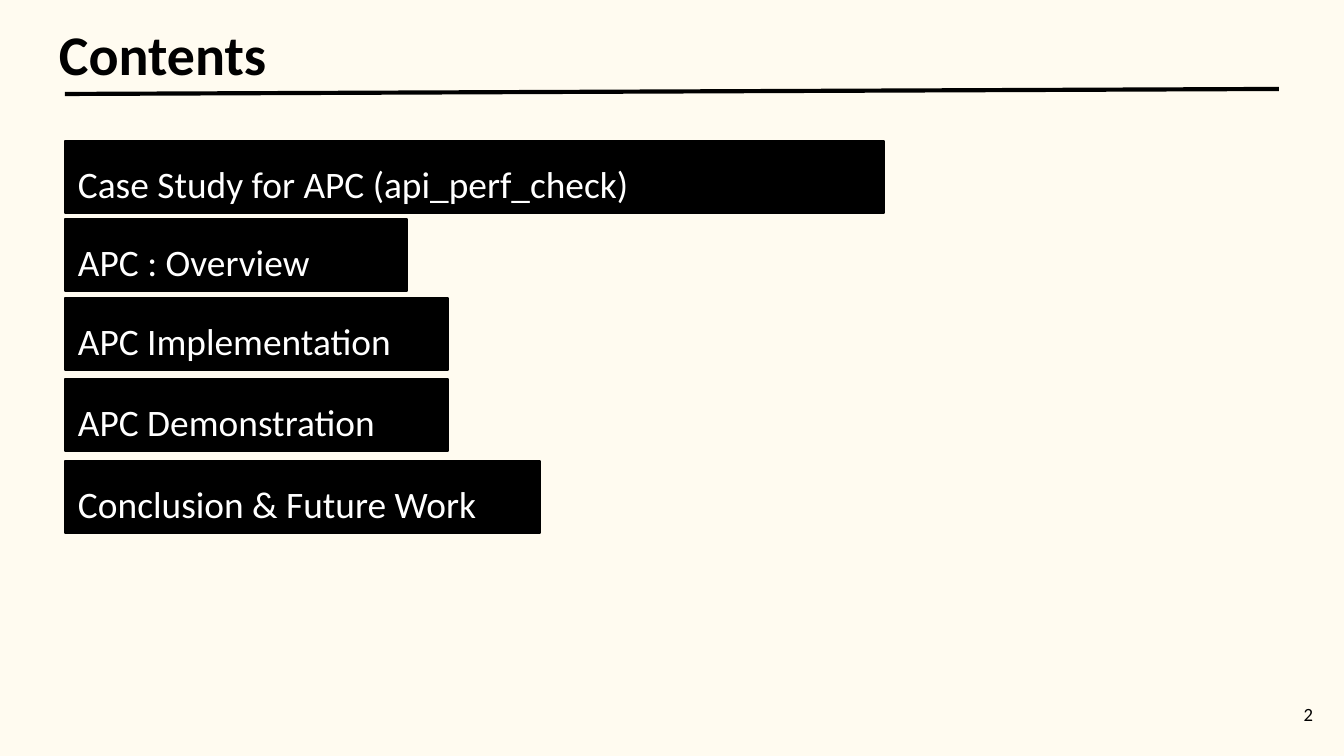
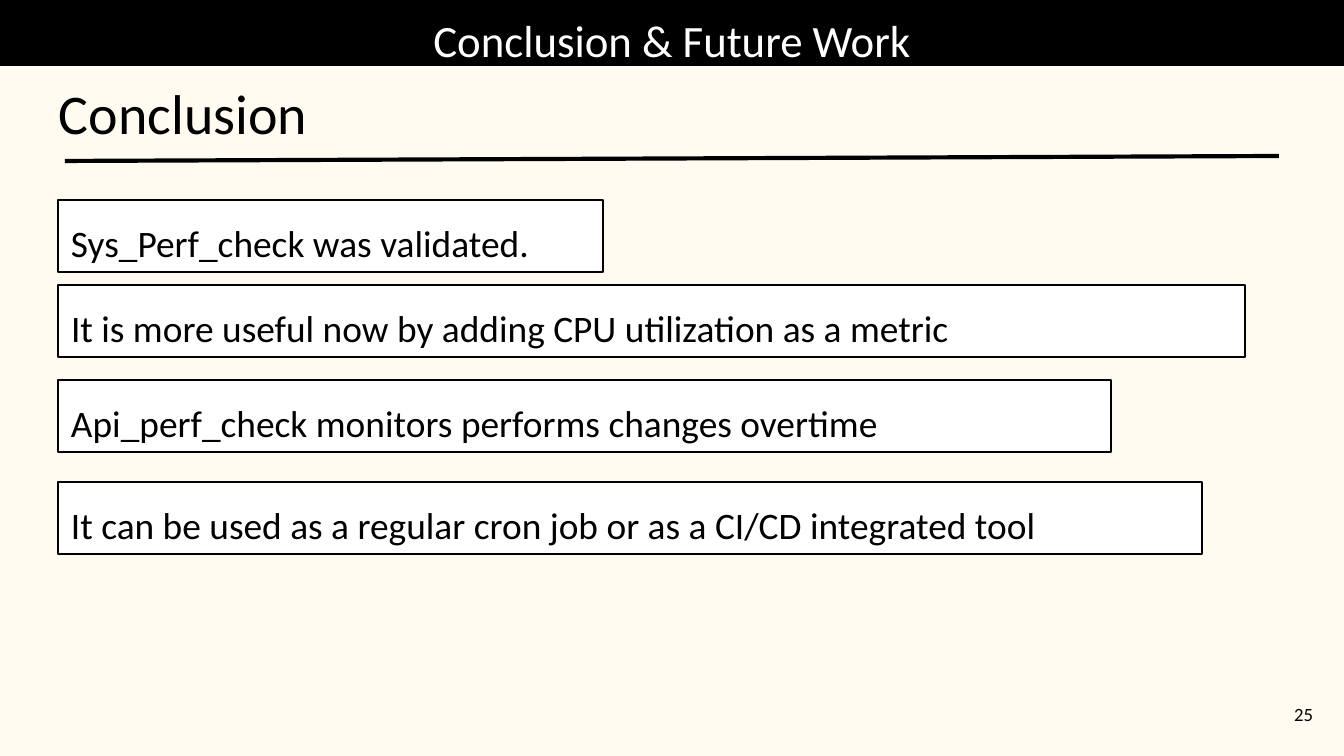
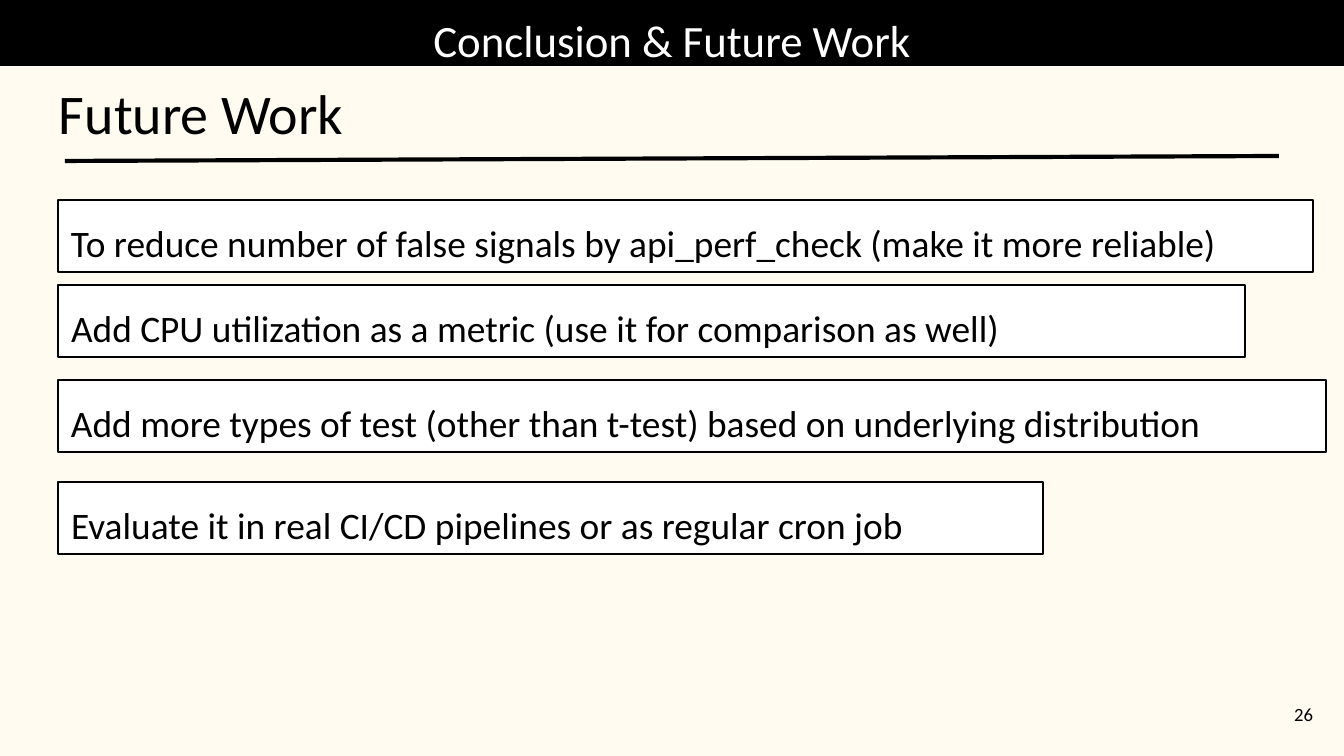
from lxml.etree import SubElement
from pptx import Presentation
from pptx.dml.color import RGBColor
from pptx.enum.shapes import MSO_CONNECTOR as Connector, MSO_SHAPE as Shape
from pptx.enum.text import MSO_ANCHOR as Anchor, MSO_AUTO_SIZE as AutoSize, PP_ALIGN as Align
from pptx.oxml.ns import qn
from pptx.util import Pt

EMU_PER_PX = 914400 / 134.4
PAGE_WIDTH, PAGE_HEIGHT = 1344, 756
CREAM, BLACK, WHITE = "FFFBF0", "000000", "FFFFFF"
FONT = "Calibri"
INSET = 13
BAND_HEIGHT = 66
BOX_HEIGHT = 72
RULE_LEFT, RULE_RIGHT, RULE_RISE = 65, 1279, 5

# Where the parts go and how the boxes look on each kind of page
CONTENTS = {"title_top": 7, "rule_top": 94, "bold": True, "left": 65,
            "tops": (141, 219, 298, 379, 461), "fill": BLACK, "ink": WHITE}
CLOSING = {"title_top": 66, "rule_top": 161, "bold": False, "left": 58,
           "tops": (200, 285, 380, 482), "fill": WHITE, "ink": BLACK}

# Each point is its text and the width of its box
PAGES = [
    {"style": CONTENTS, "band": None, "title": "Contents", "number": 2, "points": [
        ("Case Study for APC (api_perf_check)", 819),
        ("APC : Overview", 342),
        ("APC Implementation", 383),
        ("APC Demonstration", 383),
        ("Conclusion & Future Work", 475)]},
    {"style": CLOSING, "band": "Conclusion & Future Work", "title": "Conclusion", "number": 25, "points": [
        ("Sys_Perf_check was validated.", 545),
        ("It is more useful now by adding CPU utilization as a metric", 1187),
        ("Api_perf_check monitors performs changes overtime", 1053),
        ("It can be used as a regular cron job or as a CI/CD integrated tool", 1144)]},
    {"style": CLOSING, "band": "Conclusion & Future Work", "title": "Future Work", "number": 26, "points": [
        ("To reduce number of false signals by api_perf_check (make it more reliable)", 1255),
        ("Add CPU utilization as a metric (use it for comparison as well)", 1187),
        ("Add more types of test (other than t-test) based on underlying distribution", 1268),
        ("Evaluate it in real CI/CD pipelines or as regular cron job", 985)]},
]


def px(*lengths):
    return [round(length * EMU_PER_PX) for length in lengths]


def color(code):
    return RGBColor.from_string(code)


def set_all(target, values):
    for name, value in values.items():
        setattr(target, name, value)


def write(box, text, size, ink=BLACK, bold=False, anchor=Anchor.TOP, **para_format):
    frame = box.text_frame
    inset, = px(INSET)
    set_all(frame, {"word_wrap": True, "vertical_anchor": anchor,
                    "margin_left": inset, "margin_right": inset,
                    "margin_top": inset, "margin_bottom": inset})
    para = frame.paragraphs[0]
    set_all(para, {"alignment": Align.LEFT, **para_format})
    span = para.add_run()
    span.text = text
    set_all(span.font, {"name": FONT, "size": Pt(size), "bold": bold})
    span.font.color.rgb = color(ink)


def add_box(page, area, fill, outlined=True):
    box = page.shapes.add_shape(Shape.RECTANGLE, *px(*area))
    box.shadow.inherit = False
    box.fill.solid()
    box.fill.fore_color.rgb = color(fill)
    if outlined:
        box.line.color.rgb = color(BLACK)
        box.line.width = Pt(0.75)
    else:
        box.line.fill.background()
    return box


def add_rule(page, top):
    rule = page.shapes.add_connector(
        Connector.STRAIGHT, *px(RULE_LEFT, top, RULE_RIGHT, top - RULE_RISE))
    rule.line.color.rgb = color(BLACK)
    rule.line.width = Pt(2.25)
    SubElement(rule._element.spPr, qn("a:effectLst"))


def add_page(deck, content):
    style = content["style"]
    page = deck.slides.add_slide(deck.slide_layouts[6])
    page.background.fill.solid()
    page.background.fill.fore_color.rgb = color(CREAM)

    if content["band"]:
        band = add_box(page, (0, 0, PAGE_WIDTH, BAND_HEIGHT), BLACK, outlined=False)
        write(band, content["band"], 24, WHITE, alignment=Align.CENTER)
    title = page.shapes.add_textbox(*px(46, style["title_top"], 1218, 90))
    write(title, content["title"], 30, bold=style["bold"])
    add_rule(page, style["rule_top"])

    for top, (text, width) in zip(style["tops"], content["points"]):
        box = add_box(page, (style["left"], top, width, BOX_HEIGHT), style["fill"])
        write(box, text, 20, style["ink"], line_spacing=1.15, space_after=Pt(16))
        box.text_frame.auto_size = AutoSize.SHAPE_TO_FIT_TEXT

    number = page.shapes.add_textbox(*px(1246, 685, 80, 58))
    write(number, str(content["number"]), 10, anchor=Anchor.MIDDLE, alignment=Align.RIGHT)


def main():
    deck = Presentation()
    deck.slide_width, deck.slide_height = px(PAGE_WIDTH, PAGE_HEIGHT)
    for content in PAGES:
        add_page(deck, content)
    deck.save("out.pptx")


if __name__ == "__main__":
    main()
